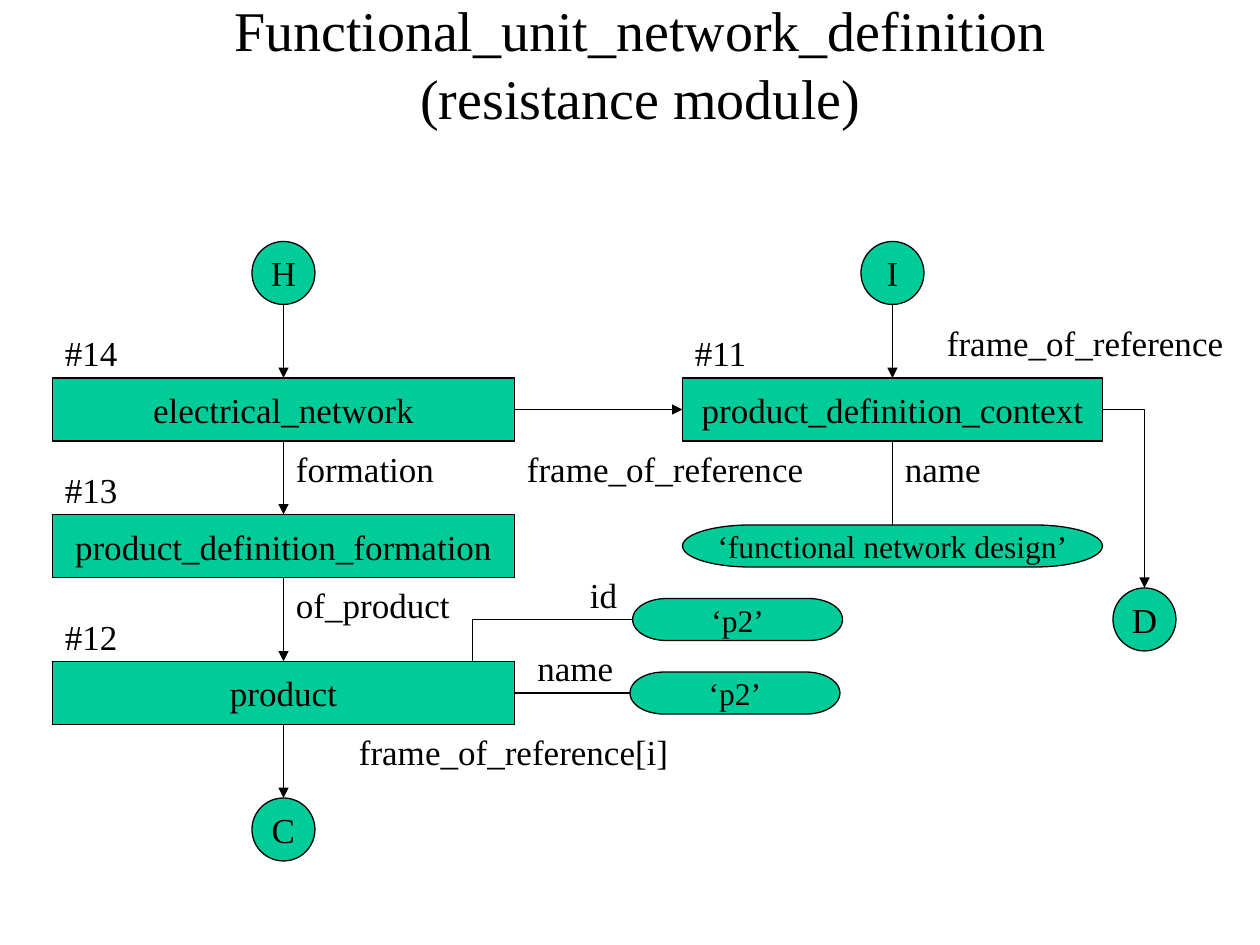
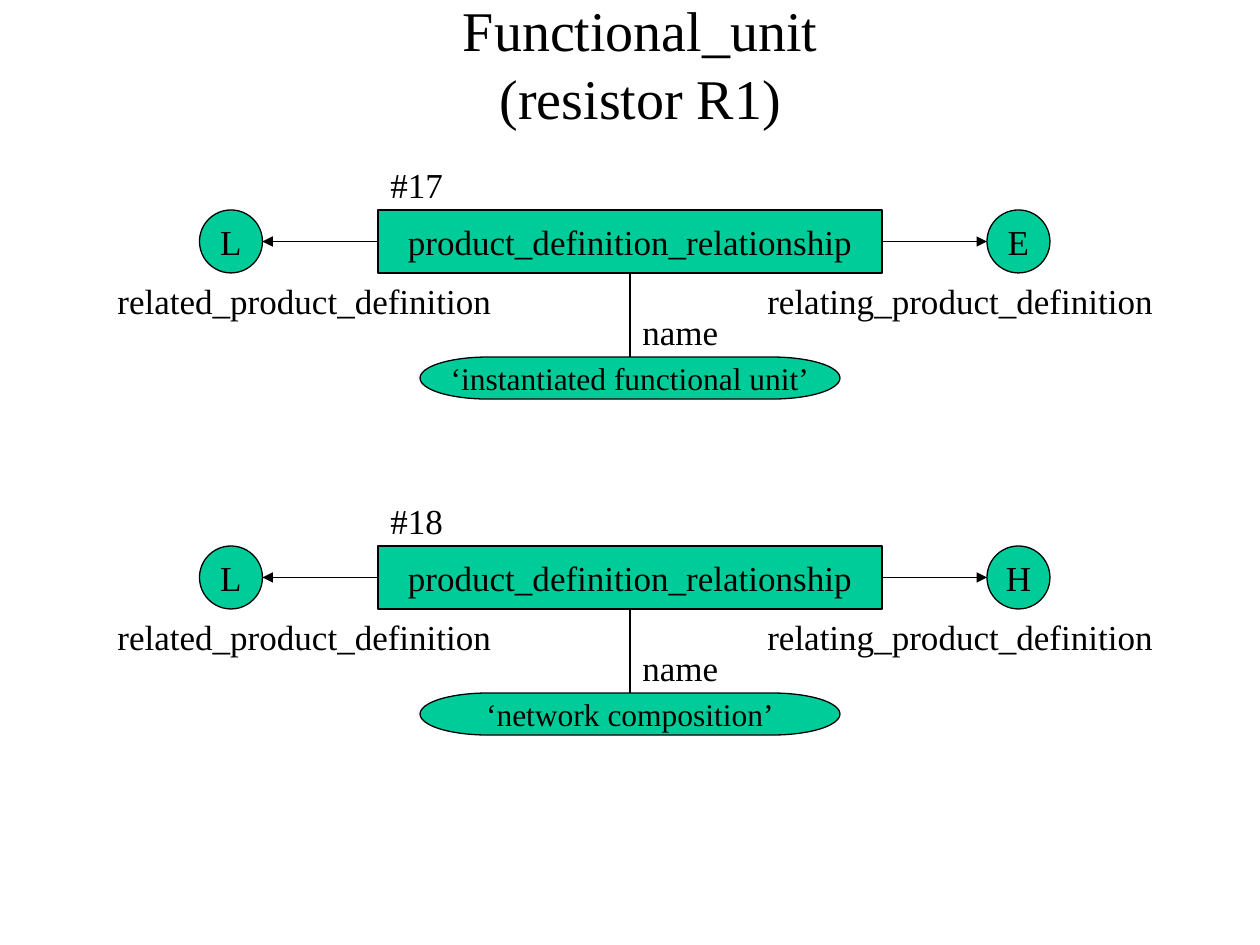
from lxml.etree import SubElement
from pptx import Presentation
from pptx.dml.color import RGBColor
from pptx.enum.shapes import MSO_CONNECTOR, MSO_SHAPE
from pptx.enum.text import MSO_ANCHOR, MSO_AUTO_SIZE, PP_ALIGN
from pptx.oxml.ns import qn
from pptx.util import Inches, Pt

GREEN = RGBColor(0x00, 0xCC, 0x99)
BLACK = RGBColor(0x00, 0x00, 0x00)
FONT = "Times New Roman"
TITLE_SIZE, TEXT_SIZE, VALUE_SIZE = 32, 20, 18
LINE_WIDTH = Pt(0.75)

# The slide is a grid of 120 columns by 90 rows.
COLUMNS, ROWS = 120, 90
CELL = Inches(10) / COLUMNS
NODE_HEIGHT = 6
VALUE_HEIGHT = 4
LABEL_HEIGHT = 5.25
NUMBER_RISE = 5

LABEL_COLUMNS = {
    "id": 5,
    "name": 9.6,
    "formation": 15.6,
    "of_product": 17.05,
    "frame_of_reference": 28.7,
    "frame_of_reference[i]": 31.85,
    "related_product_definition": 38,
    "relating_product_definition": 39.1,
}
NUMBER_COLUMNS = 7.4


def cells(*counts):
    return [round(count * CELL) for count in counts]


def write(shape, text, size, align, anchor, wrap=False):
    frame = shape.text_frame
    frame.word_wrap = wrap
    frame.vertical_anchor = anchor
    para = frame.paragraphs[0]
    para.alignment = align
    for index, line in enumerate(text.split("\n")):
        if index:
            para.add_line_break()
        span = para.add_run()
        span.text = line
        span.font.name = FONT
        span.font.size = Pt(size)
        span.font.color.rgb = BLACK


def add_title(page, text):
    box = page.shapes.add_textbox(*cells(10, 2, 102, 8))
    write(box, text, TITLE_SIZE, PP_ALIGN.CENTER, MSO_ANCHOR.MIDDLE, wrap=True)


def add_label(page, text, column, row):
    width = LABEL_COLUMNS.get(text, NUMBER_COLUMNS)
    box = page.shapes.add_textbox(*cells(column, row, width, LABEL_HEIGHT))
    write(box, text, TEXT_SIZE, PP_ALIGN.LEFT, MSO_ANCHOR.TOP)
    box.text_frame.auto_size = MSO_AUTO_SIZE.SHAPE_TO_FIT_TEXT


def add_node(page, kind, text, column, row, width, height, size=TEXT_SIZE):
    node = page.shapes.add_shape(kind, *cells(column, row, width, height))
    node.shadow.inherit = False
    node.fill.solid()
    node.fill.fore_color.rgb = GREEN
    node.line.color.rgb = BLACK
    node.line.width = LINE_WIDTH
    write(node, text, size, PP_ALIGN.CENTER, MSO_ANCHOR.MIDDLE)
    return node


def add_entity(page, number, text, column, row, width):
    """Add a named box with its instance number above the left corner."""
    add_label(page, number, column, row - NUMBER_RISE)
    return add_node(page, MSO_SHAPE.RECTANGLE, text, column, row, width, NODE_HEIGHT)


def add_reference(page, letter, column, row):
    """Add the lettered circle that leads to another diagram."""
    return add_node(page, MSO_SHAPE.FLOWCHART_CONNECTOR, letter, column, row,
                    NODE_HEIGHT, NODE_HEIGHT)


def add_value(page, text, column, row, width):
    return add_node(page, MSO_SHAPE.FLOWCHART_TERMINATOR, text, column, row,
                    width, VALUE_HEIGHT, VALUE_SIZE)


def top(node):
    return node.left + node.width // 2, node.top


def bottom(node):
    return node.left + node.width // 2, node.top + node.height


def left(node):
    return node.left, node.top + node.height // 2


def right(node):
    return node.left + node.width, node.top + node.height // 2


def add_link(page, start, end, arrow=True, bent=False):
    link = page.shapes.add_connector(
        MSO_CONNECTOR.ELBOW if bent else MSO_CONNECTOR.STRAIGHT, *start, *end)
    link.line.color.rgb = BLACK
    link.line.width = LINE_WIDTH
    properties = link._element.spPr
    if bent:
        properties.find(qn("a:prstGeom")).set("prst", "bentConnector2")
    if arrow:
        SubElement(properties.find(qn("a:ln")), qn("a:tailEnd"), type="triangle")
    SubElement(properties, qn("a:effectLst"))


def add_network_definition(page):
    add_title(page, "Functional_unit_network_definition\n(resistance module)")

    network = add_entity(page, "#14", "electrical_network", 5, 36, 44)
    formation = add_entity(page, "#13", "product_definition_formation", 5, 49, 44)
    product = add_entity(page, "#12", "product", 5, 63, 44)
    context = add_entity(page, "#11", "product_definition_context", 65, 36, 40)

    chain = [add_reference(page, "H", 24, 23), network, formation, product,
             add_reference(page, "C", 24, 76)]
    for upper, lower in zip(chain, chain[1:]):
        add_link(page, bottom(upper), top(lower))

    add_link(page, right(network), left(context))
    add_link(page, bottom(add_reference(page, "I", 82, 23)), top(context))
    add_link(page, right(context), top(add_reference(page, "D", 106, 56)), bent=True)

    design = add_value(page, "‘functional network design’", 65, 50, 40)
    add_link(page, bottom(context), top(design), arrow=False)
    product_name = add_value(page, "‘p2’", 60, 64, 20)
    add_link(page, right(product), left(product_name), arrow=False)
    product_id = add_value(page, "‘p2’", 60.25, 57, 20)
    corner = cells(45, 59)
    add_link(page, left(product_id), corner, arrow=False)
    add_link(page, corner, (corner[0], product.top), arrow=False)

    for text, column, row in [
        ("formation", 27, 42),
        ("of_product", 27, 55),
        ("frame_of_reference[i]", 33, 69),
        ("name", 85, 42),
        ("frame_of_reference", 49, 42),
        ("frame_of_reference", 89, 30),
        ("name", 50, 61),
        ("id", 55, 54),
    ]:
        add_label(page, text, column, row)


def add_relationship(page, number, relating, value, row):
    """Add one relationship box with its two references and its name."""
    entity = add_entity(page, number, "product_definition_relationship", 36, row, 48)
    add_link(page, left(entity), right(add_reference(page, "L", 19, row)))
    add_link(page, right(entity), left(add_reference(page, relating, 94, row)))
    name = add_value(page, value, 40, row + 14, 40)
    add_link(page, bottom(entity), top(name), arrow=False)
    add_label(page, "related_product_definition", 10, row + 6)
    add_label(page, "relating_product_definition", 71.9, row + 6)
    add_label(page, "name", 60, row + 9)


def add_functional_unit(page):
    add_title(page, "Functional_unit\n(resistor R1)")
    add_relationship(page, "#17", "E", "‘instantiated functional unit’", 20)
    add_relationship(page, "#18", "H", "‘network composition’", 52)


def main():
    deck = Presentation()
    deck.slide_width, deck.slide_height = cells(COLUMNS, ROWS)
    blank = deck.slide_layouts[6]
    for fill_page in (add_network_definition, add_functional_unit):
        fill_page(deck.slides.add_slide(blank))
    deck.save("out.pptx")


if __name__ == "__main__":
    main()
